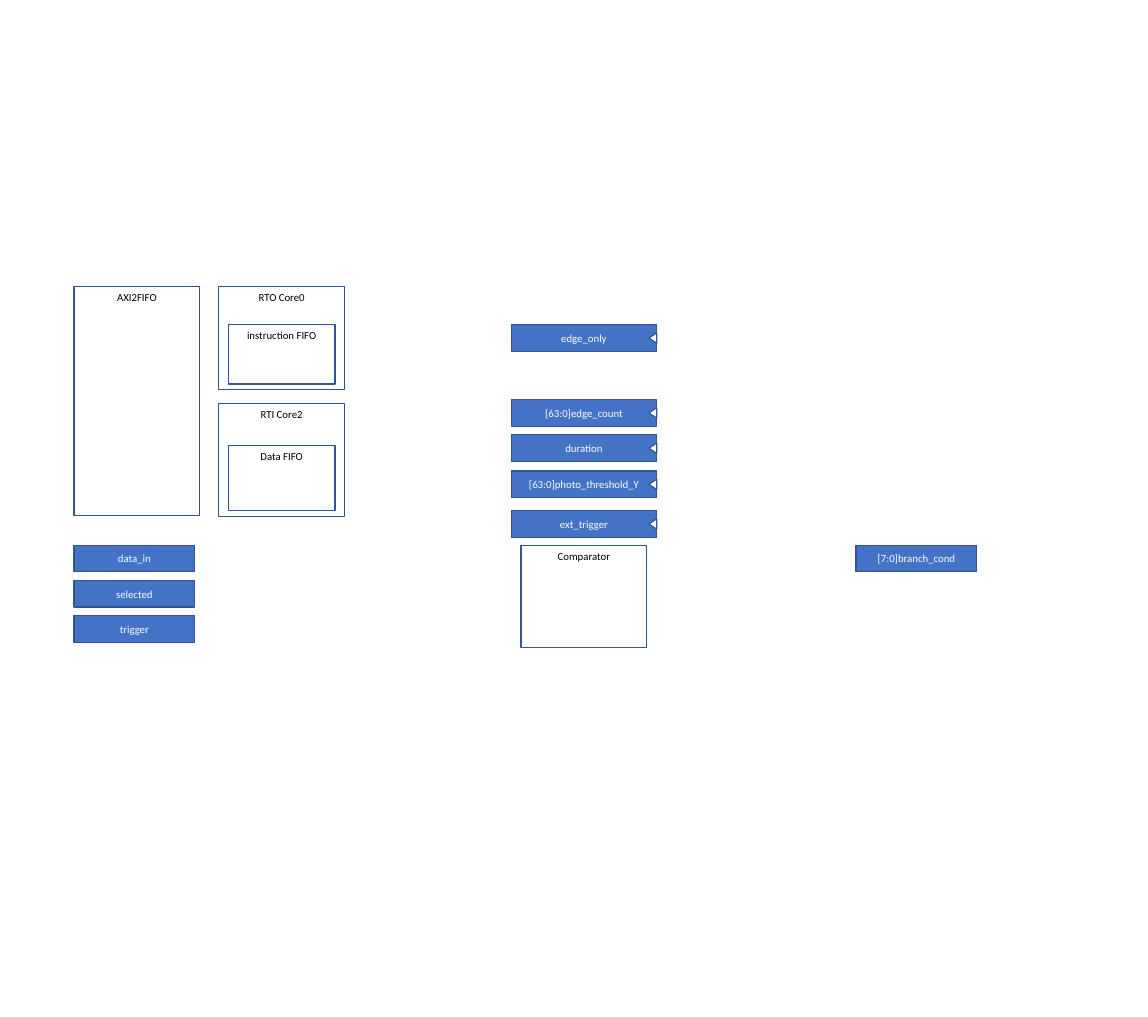
from pptx import Presentation
from pptx.dml.color import RGBColor as RGB
from pptx.enum.shapes import MSO_SHAPE as Kind
from pptx.enum.text import MSO_ANCHOR as Anchor, PP_ALIGN as Align
from pptx.util import Inches, Pt

BLUE = RGB(0x44, 0x72, 0xC4)
NAVY = RGB(0x32, 0x54, 0x91)
WHITE = RGB(0xFF, 0xFF, 0xFF)
BLACK = RGB(0x00, 0x00, 0x00)

# Grid: column lefts, shared row tops and sizes, in inches
LEFT, CORE, PORT, OUT = 0.86, 2.54, 5.94, 9.94
TOP, LOW = 3.33, 6.33
WIDE, TALL = 1.46, 1.19
PIN, BAR, HIGH = 1.4, 1.68, 0.31
PAD = 0.11
STEP = 0.41


def draw(home, kind, x, y, w, h, fill=None):
    shape = home.add_shape(kind, Inches(x), Inches(y), Inches(w), Inches(h))
    shape.shadow.inherit = False
    if fill is None:
        shape.fill.background()
    else:
        shape.fill.solid()
        shape.fill.fore_color.rgb = fill
    shape.line.color.rgb = NAVY
    shape.line.width = Pt(1)
    return shape


def box(home, text, x, y, w, h, fill=None):
    shape = draw(home, Kind.RECTANGLE, x, y, w, h, fill)
    frame = shape.text_frame
    frame.word_wrap = True
    frame.vertical_anchor = Anchor.MIDDLE if fill else Anchor.TOP
    para = frame.paragraphs[0]
    para.alignment = Align.CENTER
    run = para.add_run()
    run.text = text
    run.font.name = "Calibri"
    run.font.size = Pt(9)
    run.font.color.rgb = WHITE if fill else BLACK


deck = Presentation()
deck.slide_width, deck.slide_height = Inches(13.33), Inches(11.81)
slide = deck.slides.add_slide(deck.slide_layouts[6])
shapes = slide.shapes

# Cores, each grouped with its FIFO
cores = [
    ("RTO Core0", TOP, TALL, "instruction FIFO", 3.77, 0.69),
    ("RTI Core2", 4.69, 1.31, "Data FIFO", 5.17, 0.76),
]
for name, y, h, fifo, top, deep in cores:
    group = shapes.add_group_shape().shapes
    box(group, name, CORE, y, WIDE, h)
    box(group, fifo, CORE + PAD, top, WIDE - 2 * PAD, deep)

# Bus bridge and comparator
box(shapes, "AXI2FIFO", LEFT, TOP, WIDE, 2.66)
box(shapes, "Comparator", PORT + PAD, LOW, WIDE, TALL)

# Input pins and output pin
for row, name in enumerate(["data_in", "selected", "trigger"]):
    box(shapes, name, LEFT, LOW + row * STEP, PIN, HIGH, BLUE)
box(shapes, "[7:0]branch_cond", OUT, LOW, PIN, HIGH, BLUE)

# Registers, each grouped with its inward arrow
ports = [
    ("edge_only", 3.77),
    ("[63:0]edge_count", 4.64),
    ("duration", 5.05),
    ("[63:0]photo_threshold_Y", 5.47),
    ("ext_trigger", 5.93),
]
for name, y in ports:
    group = shapes.add_group_shape().shapes
    box(group, name, PORT, y, BAR, HIGH, BLUE)
    mark = draw(group, Kind.ISOSCELES_TRIANGLE,
                PORT + BAR - 0.1, y + PAD, 0.12, 0.09, WHITE)
    mark.rotation = 270

deck.save("out.pptx")
